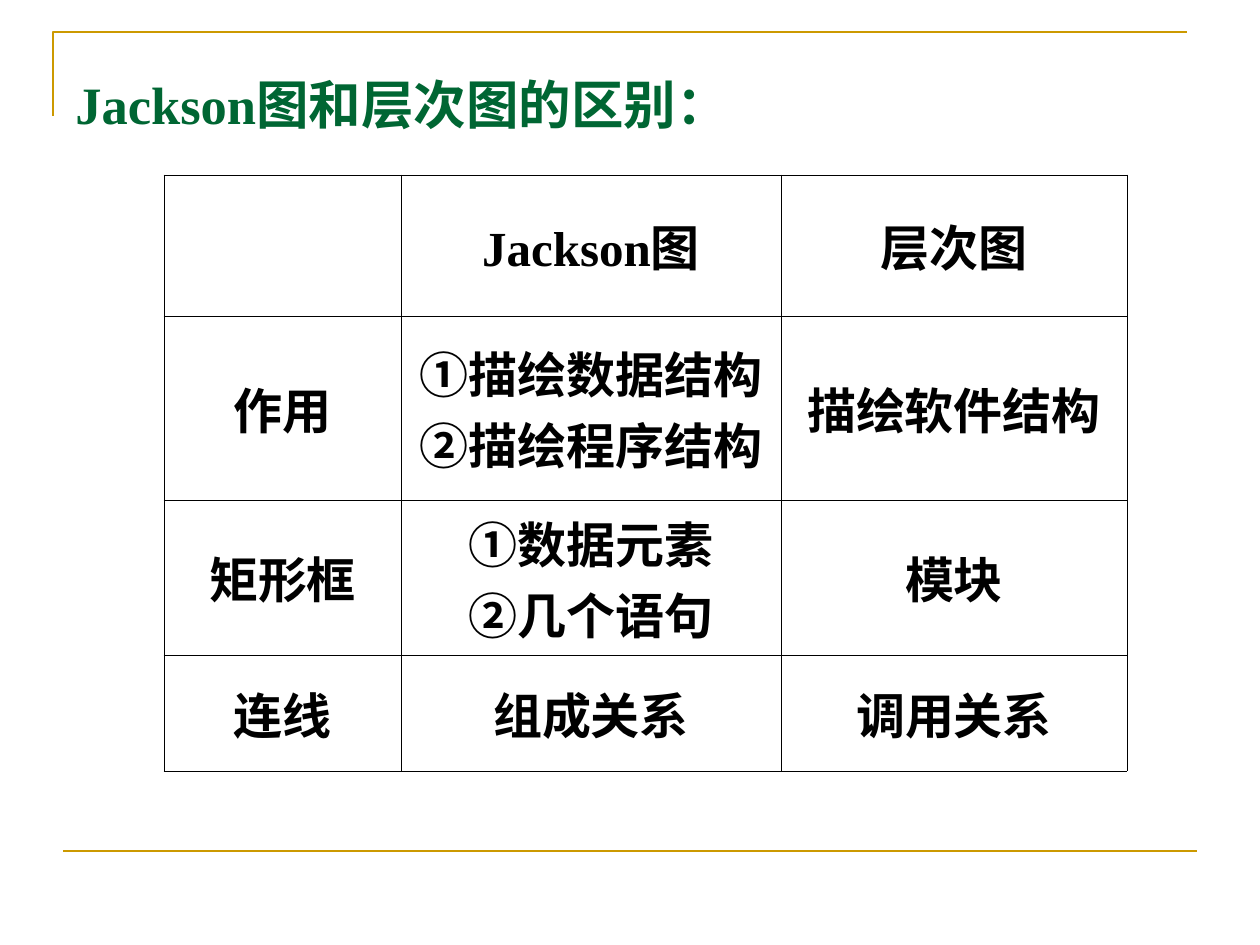
from typing import NamedTuple

from lxml import etree
from pptx import Presentation
from pptx.dml.color import RGBColor
from pptx.enum.shapes import MSO_CONNECTOR
from pptx.enum.text import MSO_ANCHOR, PP_ALIGN
from pptx.oxml.ns import qn
from pptx.util import Emu, Pt

STRAIGHT = MSO_CONNECTOR.STRAIGHT
MIDDLE = MSO_ANCHOR.MIDDLE
CENTER = PP_ALIGN.CENTER

EMU_PER_PIXEL = 914400 / 126
FONT = "Times New Roman"
GOLD, GREEN, BLACK = "CC9900", "006633", "000000"
RULE_WIDTH, BORDER_WIDTH = 1.5, 0.45

COLUMN_WIDTHS = (237, 380, 346)


class ComparisonRow(NamedTuple):
    """One aspect compared between the two kinds of diagram."""
    height: int
    aspect: str
    jackson: str
    hierarchy: str


COMPARISON = (
    ComparisonRow(141, "", "Jackson图", "层次图"),
    ComparisonRow(184, "作用", "①描绘数据结构\n②描绘程序结构", "描绘软件结构"),
    ComparisonRow(155, "矩形框", "①数据元素\n②几个语句", "模块"),
    ComparisonRow(116, "连线", "组成关系", "调用关系"),
)


def px(pixels: int) -> Emu:
    """Convert pixels to EMU."""
    return Emu(round(pixels * EMU_PER_PIXEL))


def color(value: str) -> RGBColor:
    """Convert a hex string to a colour."""
    return RGBColor.from_string(value)


def style_rule(rule) -> None:
    """Give a decorative line its colour and width."""
    rule.line.color.rgb = color(GOLD)
    rule.line.width = Pt(RULE_WIDTH)


def style_text(frame, size: int, shade: str) -> None:
    """Format every run of a text frame in bold."""
    for paragraph in frame.paragraphs:
        for run in paragraph.runs:
            run.font.name = FONT
            run.font.size = Pt(size)
            run.font.bold = True
            run.font.color.rgb = color(shade)


def add_rules(slide) -> None:
    """Draw the corner at the top and the line at the bottom."""
    builder = slide.shapes.build_freeform(53, 116, scale=EMU_PER_PIXEL)
    builder.add_line_segments([(53, 32), (1187, 32)], close=False)
    corner = builder.convert_to_shape()
    corner.fill.background()
    corner.shadow.inherit = False
    style_rule(corner)

    footer = slide.shapes.add_connector(
        STRAIGHT, px(63), px(851), px(1197), px(851))
    style_rule(footer)
    etree.SubElement(footer.element.spPr, qn("a:effectLst"))


def add_title(slide, text: str) -> None:
    """Write the slide title."""
    title = slide.shapes.add_textbox(px(63), px(66), px(1134), px(79))
    frame = title.text_frame
    frame.word_wrap = True
    frame.text = text
    frame.paragraphs[0].space_before = Pt(7.5)
    style_text(frame, 30, GREEN)


def add_borders(cell) -> None:
    """Draw a thin black border on all four sides of a cell."""
    properties = cell._tc.get_or_add_tcPr()
    for side in ("a:lnL", "a:lnR", "a:lnT", "a:lnB"):
        border = etree.SubElement(
            properties, qn(side), w=str(int(Pt(BORDER_WIDTH))))
        fill = etree.SubElement(border, qn("a:solidFill"))
        etree.SubElement(fill, qn("a:srgbClr"), val=BLACK)


def add_comparison(slide) -> None:
    """Build the comparison table."""
    frame = slide.shapes.add_table(
        len(COMPARISON), len(COLUMN_WIDTHS), px(164), px(175),
        px(sum(COLUMN_WIDTHS)), px(sum(row.height for row in COMPARISON)))
    table = frame.table
    table.first_row = False
    table.horz_banding = False
    for column, width in zip(table.columns, COLUMN_WIDTHS):
        column.width = px(width)
    for row, (height, *texts) in zip(table.rows, COMPARISON):
        row.height = px(height)
        for cell, text in zip(row.cells, texts):
            add_borders(cell)
            cell.fill.background()
            cell.vertical_anchor = MIDDLE
            cell.text_frame.text = text
            for paragraph in cell.text_frame.paragraphs:
                paragraph.alignment = CENTER
            style_text(cell.text_frame, 28, BLACK)


def main() -> None:
    """Build and save the slide."""
    presentation = Presentation()
    presentation.slide_width = px(1260)
    presentation.slide_height = px(945)
    slide = presentation.slides.add_slide(presentation.slide_layouts[6])
    add_rules(slide)
    add_title(slide, "Jackson图和层次图的区别：")
    add_comparison(slide)
    presentation.save("out.pptx")


main()
